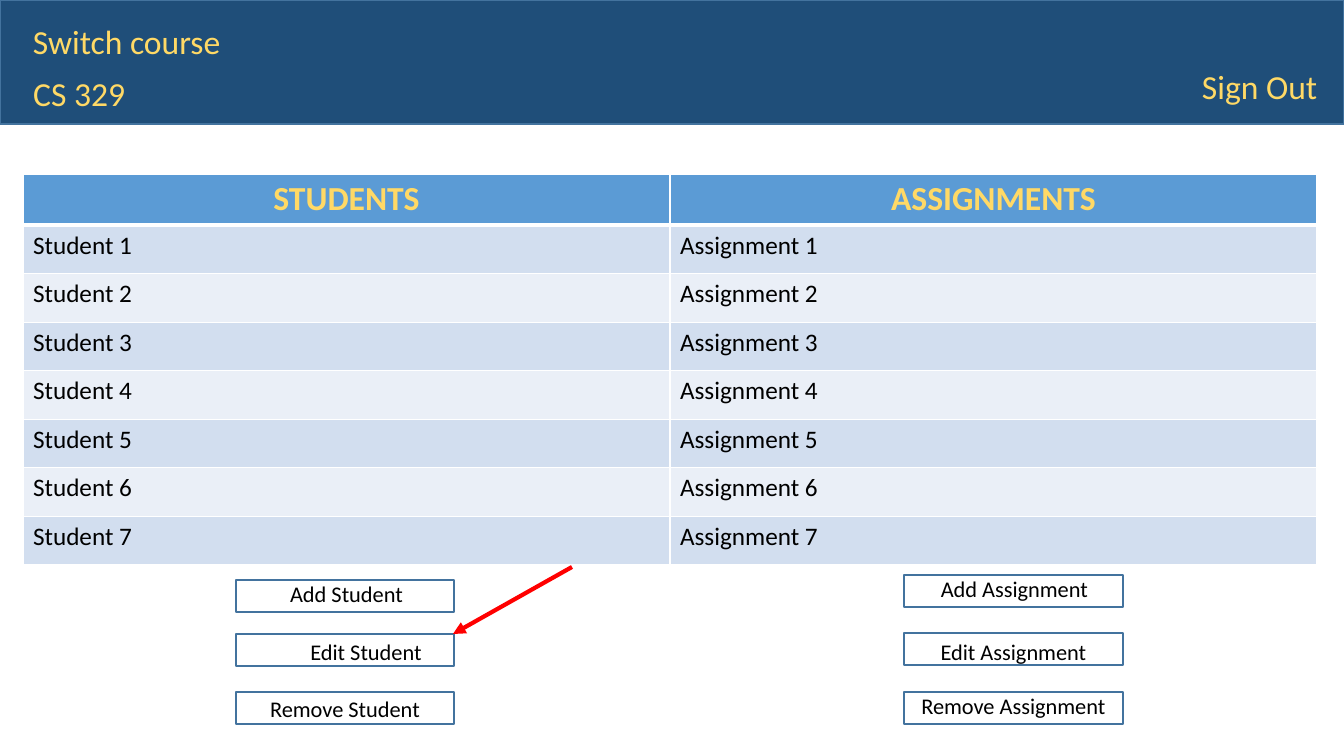
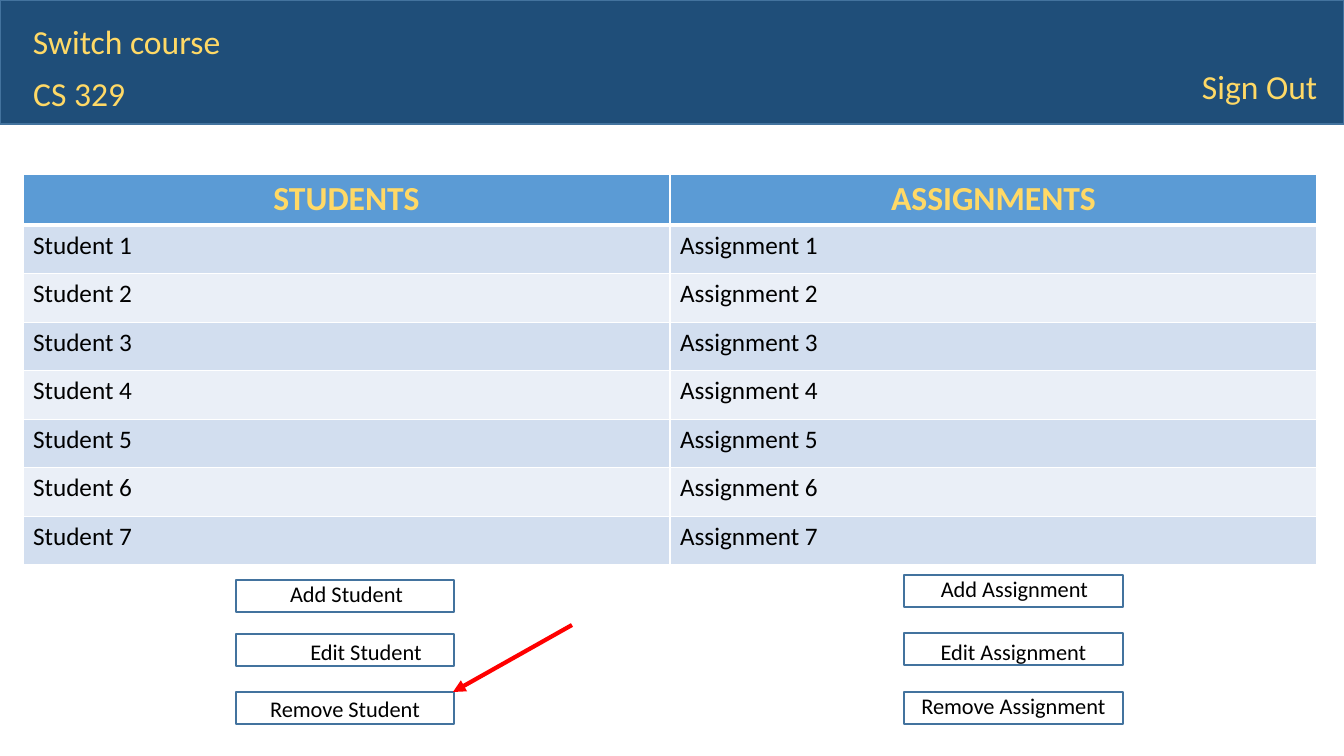
from lxml import etree
from pptx import Presentation
from pptx.dml.color import RGBColor
from pptx.enum.shapes import MSO_CONNECTOR, MSO_SHAPE
from pptx.enum.text import MSO_ANCHOR, MSO_AUTO_SIZE, PP_ALIGN
from pptx.oxml.ns import qn
from pptx.util import Emu, Pt

EMU_PER_PX = 914400 / 100.8
FONT = "Calibri"
COLORS = {
    "band": "1F4E79",
    "outline": "43739E",
    "gold": "FFD966",
    "header": "5B9BD5",
    "odd_row": "D2DEEF",
    "even_row": "EAEFF7",
    "black": "000000",
    "white": "FFFFFF",
    "arrow": "FF0000",
}
SLIDE_BOX = (0, 0, 1344, 756)
BAND_BOX = (0, 0, 1344, 124)
TABLE_BOX = (23, 174, 1294, 388)
STUDENT_BOX = (236, 580, 218, 144)
ASSIGNMENT_BOX = (904, 575, 219, 149)
BUTTON_HEIGHT = 32
ROW_COUNT = 7

STUDENT_BUTTONS = [
    ("Add Student", 0, 3, 0),
    ("Edit Student", 54, 42, 4),
    ("Remove Student", 112, 0, 3),
]
ASSIGNMENT_BUTTONS = [
    ("Add Assignment", 0, 2, 0),
    ("Edit Assignment", 58, 0, 5),
    ("Remove Assignment", 117, 0, 0),
]


def px(length):
    return Emu(round(length * EMU_PER_PX))


def color(name):
    return RGBColor.from_string(COLORS[name])


def place(shape, left, top, width, height):
    shape.left, shape.top = px(left), px(top)
    shape.width, shape.height = px(width), px(height)


def write_text(frame, text, size=16, color_name="black", bold=False,
               align=PP_ALIGN.LEFT, anchor=MSO_ANCHOR.TOP, margins=None):
    frame.word_wrap = True
    frame.vertical_anchor = anchor
    if margins:
        frame.margin_left, frame.margin_top = px(margins[0]), px(margins[1])
        frame.margin_right = frame.margin_bottom = 0
    frame.text = text
    paragraph = frame.paragraphs[0]
    paragraph.alignment = align
    font = paragraph.runs[0].font
    font.name = FONT
    font.size = Pt(size)
    font.bold = bold
    font.color.rgb = color(color_name)


def add_rectangle(slide, box, fill=None):
    shape = slide.shapes.add_shape(MSO_SHAPE.RECTANGLE, *map(px, box))
    shape.shadow.inherit = False
    if fill:
        shape.fill.solid()
        shape.fill.fore_color.rgb = color(fill)
    else:
        shape.fill.background()
    shape.line.color.rgb = color("outline")
    shape.line.width = Pt(1)
    return shape


def add_course_band(slide, box):
    left, top, width, height = box
    title = slide.shapes.title
    title.element.addprevious(add_rectangle(slide, box, "band").element)
    place(title, left + 23, top + 68, 165, 50)
    switch_link = slide.shapes.add_textbox(
        px(left + 23), px(top + 16), px(212), px(50))
    sign_out = slide.shapes.add_textbox(
        px(left + width - 152), px(top + 61), px(152), px(50))
    labels = [(title, "CS 329"), (switch_link, "Switch course"),
              (sign_out, "Sign Out")]
    for shape, text in labels:
        write_text(shape.text_frame, text, size=24, color_name="gold")
        shape.text_frame.auto_size = MSO_AUTO_SIZE.NONE


def set_borders(cell, bottom_width):
    properties = cell._tc.get_or_add_tcPr()
    widths = [("lnL", 1), ("lnR", 1), ("lnT", 1), ("lnB", bottom_width)]
    for position, (tag, width) in enumerate(widths):
        line = etree.Element(qn(f"a:{tag}"), w=str(Pt(width)))
        fill = etree.SubElement(line, qn("a:solidFill"))
        etree.SubElement(fill, qn("a:srgbClr"), val=COLORS["white"])
        properties.insert(position, line)


def add_roster_table(slide, box):
    rows = [("STUDENTS", "ASSIGNMENTS")]
    rows += [(f"Student {number}", f"Assignment {number}")
             for number in range(1, ROW_COUNT + 1)]
    table = slide.shapes.add_table(len(rows), 2, *map(px, box)).table
    for row_index, row in enumerate(rows):
        is_header = row_index == 0
        if is_header:
            fill = "header"
            style = dict(size=24, color_name="gold", bold=True,
                         align=PP_ALIGN.CENTER)
        else:
            fill = "odd_row" if row_index % 2 else "even_row"
            style = dict(size=18)
        for column_index, text in enumerate(row):
            cell = table.cell(row_index, column_index)
            cell.fill.solid()
            cell.fill.fore_color.rgb = color(fill)
            set_borders(cell, 3 if is_header else 1)
            write_text(cell.text_frame, text, **style)


def add_buttons(slide, box, buttons):
    left, top, width, _ = box
    for text, offset, indent, drop in buttons:
        button = add_rectangle(
            slide, (left, top + offset, width, BUTTON_HEIGHT))
        write_text(button.text_frame, text, align=PP_ALIGN.CENTER,
                   margins=(indent, drop))


def add_pointer(slide, box, offset):
    left, top, width, _ = box
    tip_x, tip_y = left + width - 1, top + offset
    arrow = slide.shapes.add_connector(
        MSO_CONNECTOR.STRAIGHT,
        px(tip_x + 119), px(tip_y - 67), px(tip_x), px(tip_y))
    arrow.line.color.rgb = color("arrow")
    arrow.line.width = Pt(3)
    etree.SubElement(arrow.line._get_or_add_ln(), qn("a:tailEnd"),
                     type="triangle")
    etree.SubElement(arrow.element.spPr, qn("a:effectLst"))


def add_course_slide(presentation, pointed_button):
    slide = presentation.slides.add_slide(presentation.slide_layouts[5])
    add_course_band(slide, BAND_BOX)
    add_roster_table(slide, TABLE_BOX)
    add_buttons(slide, STUDENT_BOX, STUDENT_BUTTONS)
    add_buttons(slide, ASSIGNMENT_BOX, ASSIGNMENT_BUTTONS)
    add_pointer(slide, STUDENT_BOX, STUDENT_BUTTONS[pointed_button][1])


def main():
    presentation = Presentation()
    presentation.slide_width = px(SLIDE_BOX[2])
    presentation.slide_height = px(SLIDE_BOX[3])
    for pointed_button in (1, 2):
        add_course_slide(presentation, pointed_button)
    presentation.save("out.pptx")


if __name__ == "__main__":
    main()
